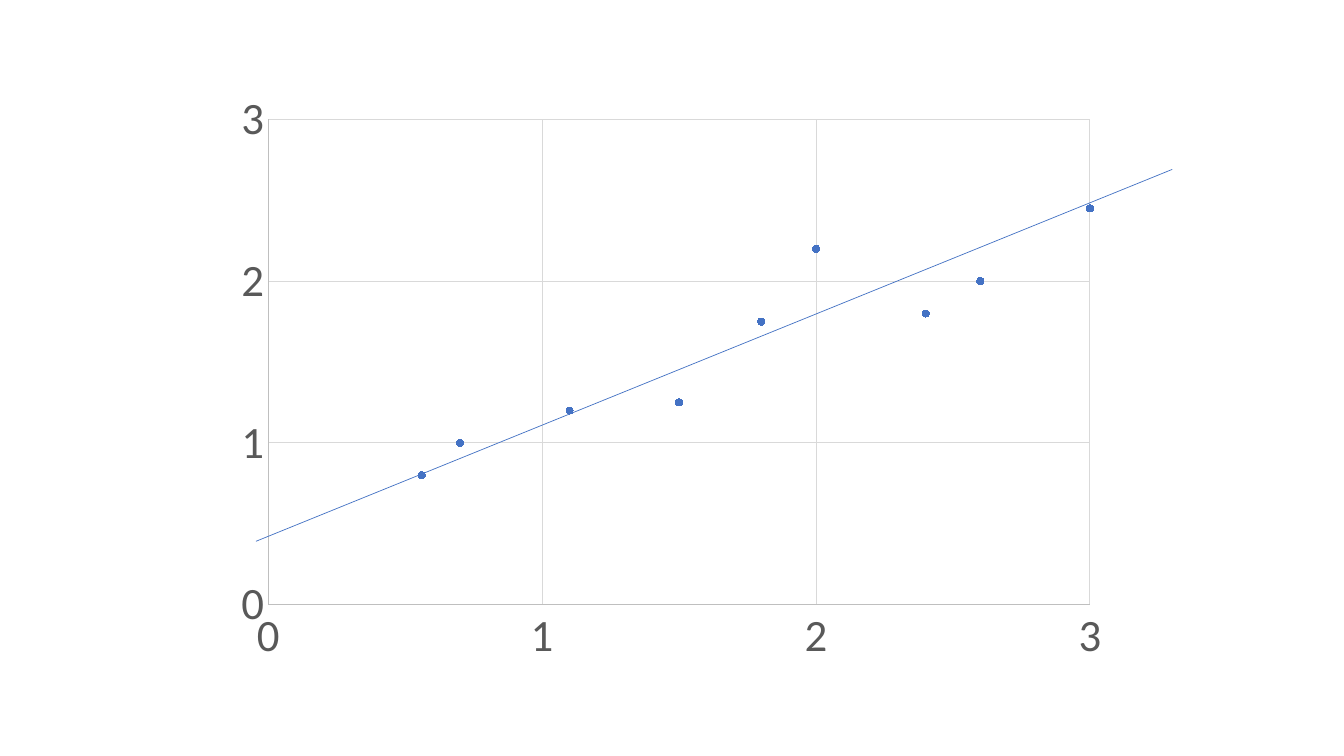
from lxml.etree import SubElement
from pptx import Presentation
from pptx.chart.data import XyChartData
from pptx.dml.color import RGBColor
from pptx.enum.chart import XL_CHART_TYPE, XL_MARKER_STYLE, XL_TICK_MARK
from pptx.enum.shapes import MSO_CONNECTOR
from pptx.oxml.ns import qn
from pptx.util import Cm, Pt

POINTS = [
    (0.7, 1), (1.8, 1.75), (2.6, 2), (3, 2.45), (1.5, 1.25),
    (2, 2.2), (2.4, 1.8), (1.1, 1.2), (0.56, 0.8),
]
AXIS_END = 3
FIT_LINE = (6.45, 13.64, 29.54, 4.27)
CHART_BOX = (5.64, 2.01, 22.58, 15.06)
PLOT_BOX = (6.76, 3.01, 20.71, 12.23)
COLORS = {"data": "4472C4", "label": "595959", "axis": "BFBFBF", "grid": "D9D9D9"}
FONT = "Calibri"


def color(name):
    return RGBColor.from_string(COLORS[name])


def format_line(line, name, width):
    line.color.rgb = color(name)
    line.width = Pt(width)


def format_axis(axis, size=32):
    axis.minimum_scale, axis.maximum_scale, axis.major_unit = 0, AXIS_END, 1
    axis.major_tick_mark = axis.minor_tick_mark = XL_TICK_MARK.NONE
    axis.has_major_gridlines = True
    format_line(axis.major_gridlines.format.line, "grid", 0.75)
    format_line(axis.format.line, "axis", 0.75)
    labels = axis.tick_labels
    labels.number_format, labels.number_format_is_linked = "General", False
    labels.font.name, labels.font.size = FONT, Pt(size)
    labels.font.color.rgb = color("label")


def place_plot(chart):
    left, top, width, height = CHART_BOX
    plot_left, plot_top, plot_width, plot_height = PLOT_BOX
    area = chart.plots[0]._element.getparent()
    for old_layout in area.findall(qn("c:layout")):
        area.remove(old_layout)
    layout = SubElement(area, qn("c:layout"))
    area.insert(0, layout)
    manual = SubElement(layout, qn("c:manualLayout"))
    settings = {
        "layoutTarget": "inner", "xMode": "edge", "yMode": "edge",
        "x": (plot_left - left) / width, "y": (plot_top - top) / height,
        "w": plot_width / width, "h": plot_height / height,
    }
    for tag, value in settings.items():
        SubElement(manual, qn(f"c:{tag}")).set("val", str(value))


def add_scatter(page):
    data = XyChartData()
    points = data.add_series("Series 1")
    for x, y in POINTS:
        points.add_data_point(x, y)
    chart = page.shapes.add_chart(
        XL_CHART_TYPE.XY_SCATTER, *map(Cm, CHART_BOX), data
    ).chart
    chart.has_legend = chart.has_title = False
    chart.font.name, chart.font.size = FONT, Pt(10)
    chart.plots[0].vary_by_categories = False
    for axis in (chart.category_axis, chart.value_axis):
        format_axis(axis)
    series = chart.plots[0].series[0]
    series.smooth = False
    series.format.line.fill.background()
    marker = series.marker
    marker.style, marker.size = XL_MARKER_STYLE.CIRCLE, 5
    marker.format.fill.solid()
    marker.format.fill.fore_color.rgb = color("data")
    format_line(marker.format.line, "data", 0.75)
    place_plot(chart)


def add_fit_line(page):
    line = page.shapes.add_connector(MSO_CONNECTOR.STRAIGHT, *map(Cm, FIT_LINE))
    format_line(line.line, "data", 0.5)
    SubElement(line._element.spPr, qn("a:effectLst"))


deck = Presentation()
deck.slide_width, deck.slide_height = Cm(33.87), Cm(19.05)
page = deck.slides.add_slide(deck.slide_layouts[6])
add_scatter(page)
add_fit_line(page)
deck.save("out.pptx")
